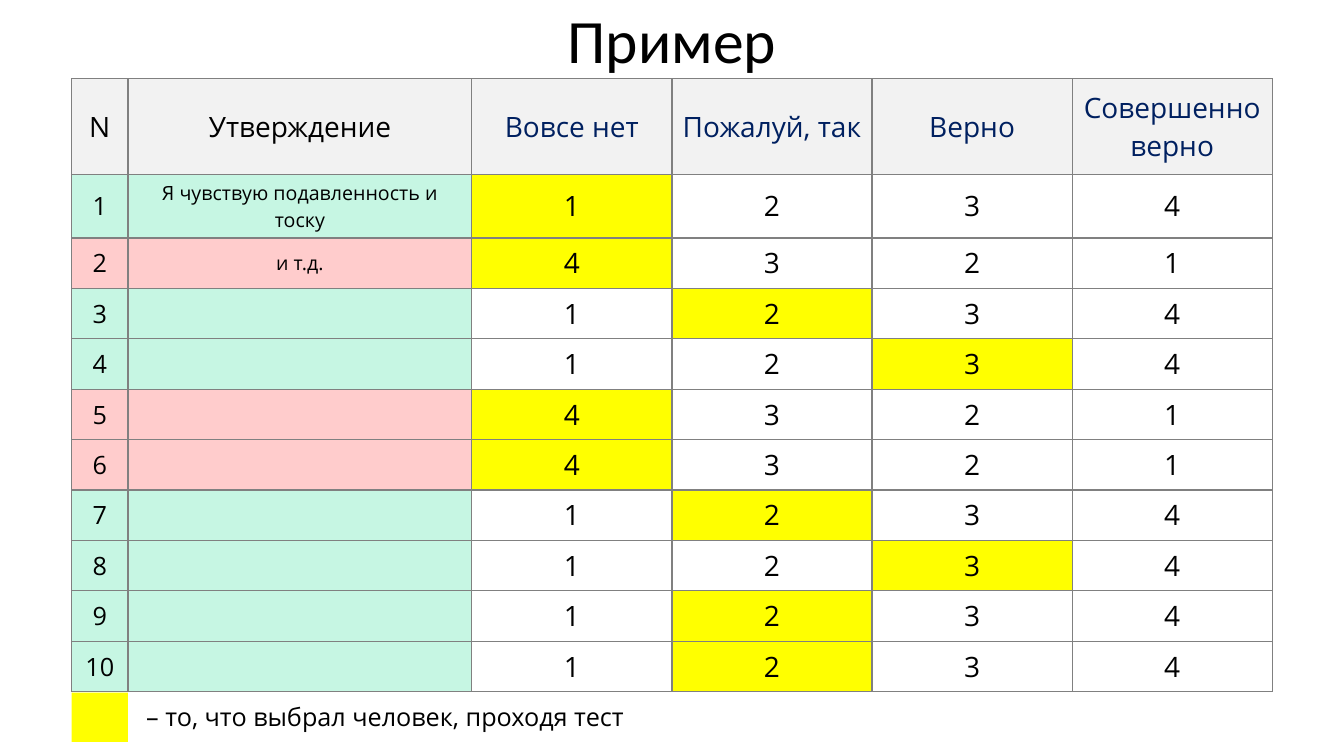
from pptx import Presentation
from pptx.dml.color import RGBColor
from pptx.enum.shapes import MSO_SHAPE
from pptx.enum.text import MSO_ANCHOR, PP_ALIGN
from pptx.oxml.ns import qn
from pptx.util import Inches, Pt
from lxml import etree

RECTANGLE = MSO_SHAPE.RECTANGLE
MIDDLE = MSO_ANCHOR.MIDDLE
CENTER, LEFT = PP_ALIGN.CENTER, PP_ALIGN.LEFT

BLACK = RGBColor(0x00, 0x00, 0x00)
NAVY = RGBColor(0x00, 0x20, 0x60)
WHITE = RGBColor(0xFF, 0xFF, 0xFF)
HEADER_GREY = RGBColor(0xF2, 0xF2, 0xF2)
BORDER_GREY = RGBColor(0x80, 0x80, 0x80)
MINT = RGBColor(0xC6, 0xF6, 0xE3)
PINK = RGBColor(0xFF, 0xCC, 0xCC)
YELLOW = RGBColor(0xFF, 0xFF, 0x00)

TITLE_FONT, BODY_FONT = "Calibri", "Open Sans"

# Table layout in inches
TABLE_LEFT, TABLE_TOP, TABLE_WIDTH = 0.71, 0.78, 11.91
NUMBER_WIDTH, STATEMENT_WIDTH = 0.56, 3.41
HEADER_HEIGHT, ROW_HEIGHT = 0.95, 0.5

ANSWERS = ["Вовсе нет", "Пожалуй, так", "Верно", "Совершенно верно"]
HEADERS = ["N", "Утверждение"] + ANSWERS
STATEMENTS = {1: "Я чувствую подавленность и тоску", 2: "и т.д."}
REVERSED_ITEMS = {2, 5, 6}
# Position of the chosen answer for each statement
CHOSEN = [0, 0, 1, 2, 0, 0, 1, 2, 1, 1]


def write_text(frame, text, size=20, font=BODY_FONT, color=BLACK,
               align=CENTER, line_spacing=None):
    para = frame.paragraphs[0]
    para.alignment = align
    para.line_spacing = line_spacing
    span = para.add_run()
    span.text = text
    span.font.size = Pt(size)
    span.font.name = font
    span.font.color.rgb = color


def add_borders(cell):
    properties = cell._tc.get_or_add_tcPr()
    for position, side in enumerate(("a:lnL", "a:lnR", "a:lnT", "a:lnB")):
        line = etree.Element(qn(side), w=str(Pt(1)))
        fill = etree.SubElement(line, qn("a:solidFill"))
        etree.SubElement(fill, qn("a:srgbClr"), val=str(BORDER_GREY))
        properties.insert(position, line)


def fill_cell(cell, text, fill, **text_format):
    cell.fill.solid()
    cell.fill.fore_color.rgb = fill
    cell.vertical_anchor = MIDDLE
    add_borders(cell)
    if text:
        write_text(cell.text_frame, text, **text_format)


def add_title(page, text):
    title = page.shapes.title
    title.left, title.top = Inches(0), Inches(0.09)
    title.width, title.height = Inches(13.33), Inches(0.69)
    title.text_frame.vertical_anchor = MIDDLE
    write_text(title.text_frame, text, size=44, font=TITLE_FONT,
               line_spacing=0.9)


def add_answer_table(page):
    row_count = len(CHOSEN)
    table = page.shapes.add_table(
        row_count + 1, len(HEADERS), Inches(TABLE_LEFT), Inches(TABLE_TOP),
        Inches(TABLE_WIDTH),
        Inches(HEADER_HEIGHT + row_count * ROW_HEIGHT)).table

    # Column widths and row heights
    answer_width = (TABLE_WIDTH - NUMBER_WIDTH - STATEMENT_WIDTH) / len(ANSWERS)
    widths = [NUMBER_WIDTH, STATEMENT_WIDTH] + [answer_width] * len(ANSWERS)
    for column, width in zip(table.columns, widths):
        column.width = Inches(width)
    for row in table.rows:
        row.height = Inches(ROW_HEIGHT)
    table.rows[0].height = Inches(HEADER_HEIGHT)

    # Header row
    for column, header in enumerate(HEADERS):
        fill_cell(table.cell(0, column), header, HEADER_GREY,
                  color=NAVY if header in ANSWERS else BLACK)

    # Statements with their scores, reversed for some items
    for number, chosen in enumerate(CHOSEN, start=1):
        is_reversed = number in REVERSED_ITEMS
        item_fill = PINK if is_reversed else MINT
        scores = (4, 3, 2, 1) if is_reversed else (1, 2, 3, 4)
        fill_cell(table.cell(number, 0), str(number), item_fill, size=18)
        fill_cell(table.cell(number, 1), STATEMENTS.get(number), item_fill,
                  size=14)
        for position, score in enumerate(scores):
            fill_cell(table.cell(number, position + 2), str(score),
                      YELLOW if position == chosen else WHITE)


def add_legend(page, text):
    swatch = page.shapes.add_shape(RECTANGLE, Inches(TABLE_LEFT), Inches(6.87),
                                   Inches(NUMBER_WIDTH), Inches(0.49))
    swatch.shadow.inherit = False
    swatch.fill.solid()
    swatch.fill.fore_color.rgb = YELLOW
    swatch.line.fill.background()

    box = page.shapes.add_textbox(Inches(1.28), Inches(6.91),
                                  Inches(6.67), Inches(0.4))
    box.text_frame.word_wrap = True
    box.text_frame.margin_left = Inches(0.17)
    write_text(box.text_frame, text, size=18, align=LEFT)


def main():
    deck = Presentation()
    deck.slide_width, deck.slide_height = Inches(13.33), Inches(7.5)
    title_only = deck.slide_layouts[5]
    page = deck.slides.add_slide(title_only)
    add_title(page, "Пример")
    add_answer_table(page)
    add_legend(page, "– то, что выбрал человек, проходя тест")
    deck.save("out.pptx")


if __name__ == "__main__":
    main()
